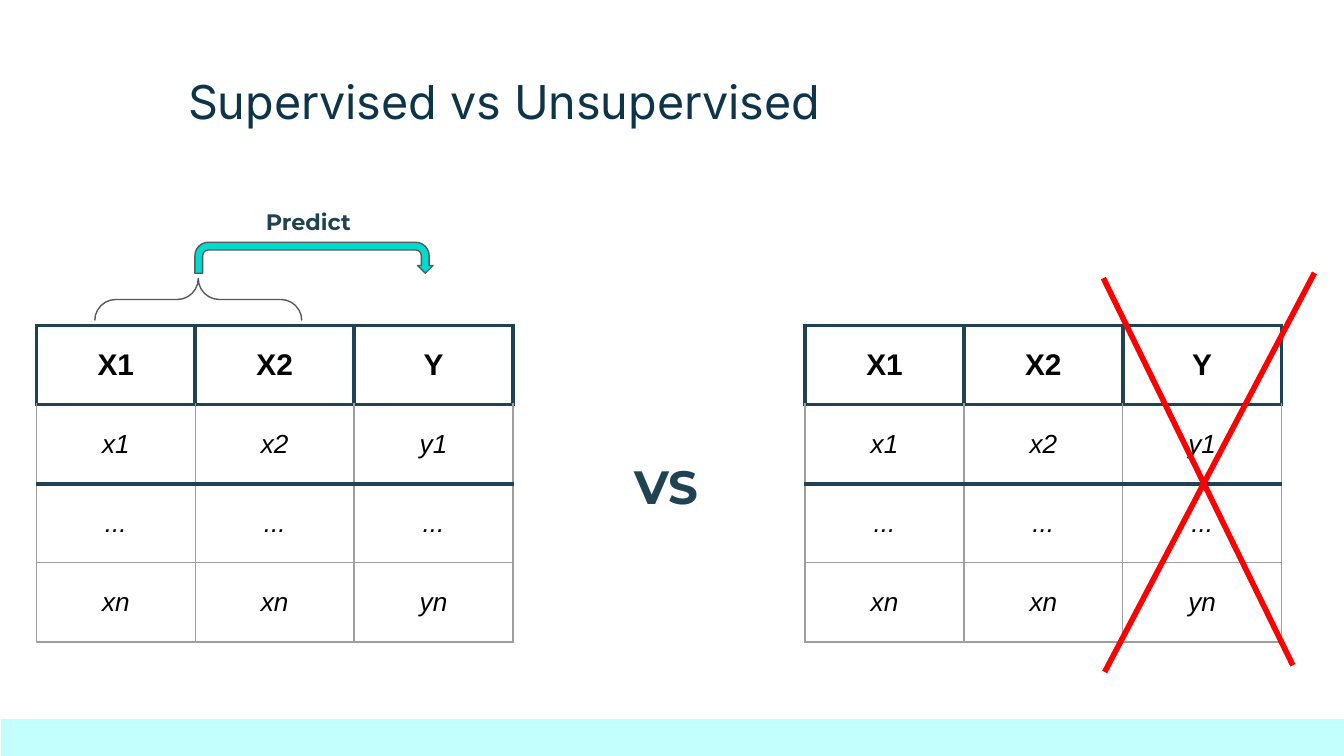
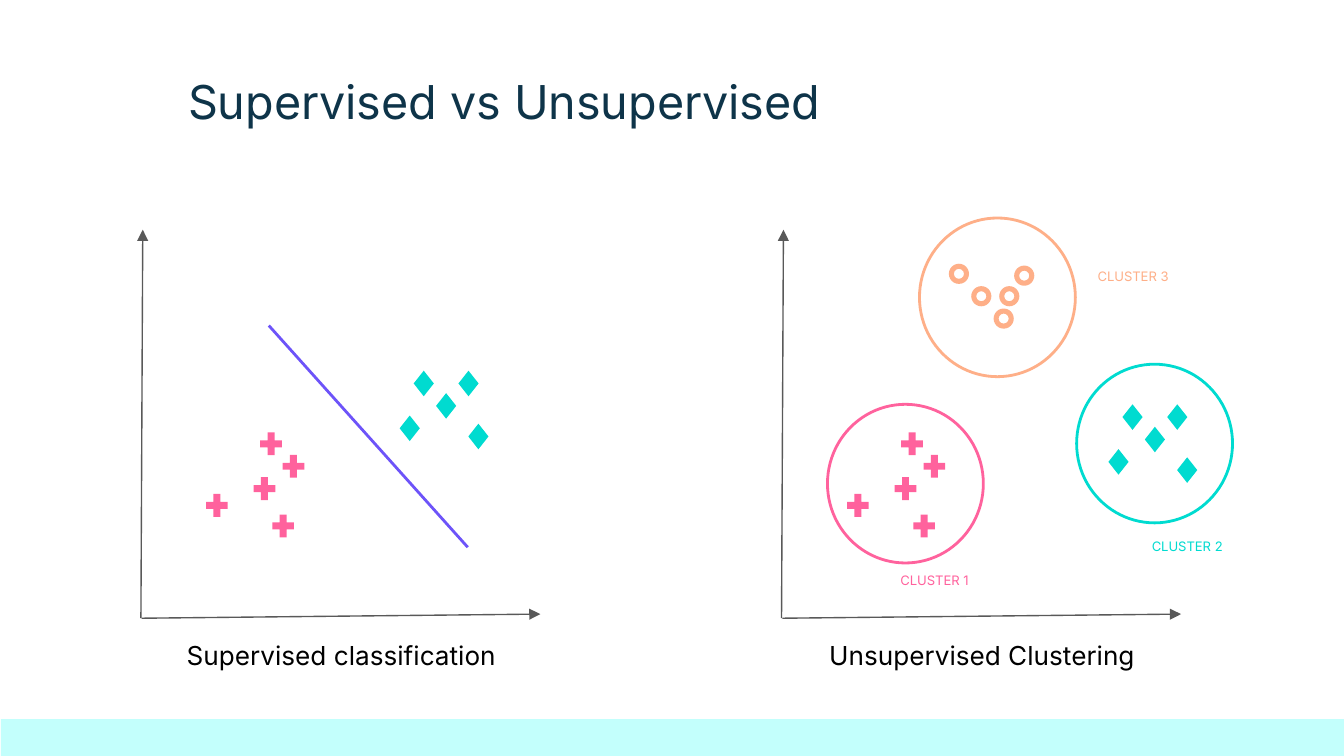
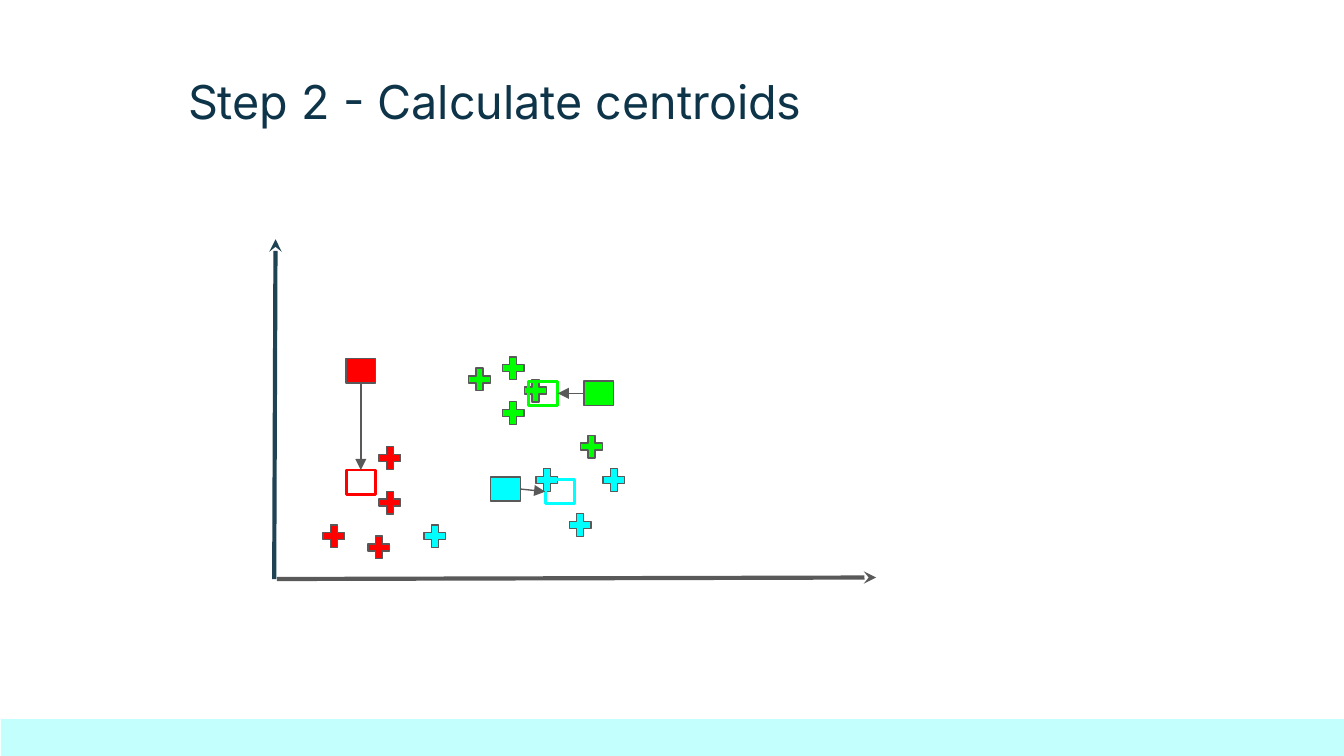
from dataclasses import dataclass

from lxml import etree
from pptx import Presentation
from pptx.dml.color import RGBColor
from pptx.enum.shapes import MSO_CONNECTOR, MSO_SHAPE
from pptx.enum.text import MSO_ANCHOR, MSO_AUTO_SIZE, PP_ALIGN
from pptx.oxml.ns import qn
from pptx.util import Pt

STRAIGHT = MSO_CONNECTOR.STRAIGHT
RECTANGLE = MSO_SHAPE.RECTANGLE
PLUS = MSO_SHAPE.MATH_PLUS
DIAMOND = MSO_SHAPE.DIAMOND
DONUT = MSO_SHAPE.DONUT
OVAL = MSO_SHAPE.OVAL
LEFT, CENTER = PP_ALIGN.LEFT, PP_ALIGN.CENTER
TOP, MIDDLE, BOTTOM = MSO_ANCHOR.TOP, MSO_ANCHOR.MIDDLE, MSO_ANCHOR.BOTTOM
SIDE_TOP, SIDE_LEFT, SIDE_BOTTOM, SIDE_RIGHT = range(4)
TITLE_ONLY = 5


@dataclass(frozen=True)
class Theme:
    title: RGBColor = RGBColor.from_string("0E3449")
    navy: RGBColor = RGBColor.from_string("1F4352")
    band: RGBColor = RGBColor.from_string("C3FFFC")
    teal: RGBColor = RGBColor.from_string("00DBD0")
    pink: RGBColor = RGBColor.from_string("FF629D")
    peach: RGBColor = RGBColor.from_string("FEAF88")
    violet: RGBColor = RGBColor.from_string("6D53F9")
    gray: RGBColor = RGBColor.from_string("595959")
    grid: RGBColor = RGBColor.from_string("9E9E9E")
    black: RGBColor = RGBColor.from_string("000000")
    red: RGBColor = RGBColor.from_string("FF0000")
    green: RGBColor = RGBColor.from_string("00FF00")
    cyan: RGBColor = RGBColor.from_string("00FFFF")
    text_font: str = "Inter"
    accent_font: str = "Montserrat"
    table_font: str = "Arial"
    title_size: float = 25
    header_size: float = 16
    body_size: float = 14
    note_size: float = 12
    label_size: float = 7
    inset: float = 7.2
    thin: float = 0.75
    medium: float = 1.5
    thick: float = 2.25
    cross: float = 3


THEME = Theme()

PLUS_SIZE = (15.8, 16.6)
DIAMOND_SIZE = (10.8, 13.7)
DONUT_SIZE = (10.8, 10.8)
CENTROID_SIZE = (15.8, 13)
CLUSTER_SIZE = (83.5, 85)

# Steps from the first marker of each group
PLUS_STEPS = [(0, 0), (12, 12), (-3.5, 24), (-29, 33), (6.5, 44)]
DIAMOND_STEPS = [(0, 0), (12, 12), (24, 0), (-7.5, 24), (29.3, 28.4)]
DONUT_STEPS = [(0, 0), (12, 12), (24, 24), (35, 1), (27, 12)]

TABLE_ROWS = [("X1", "X2", "Y"), ("x1", "x2", "y1"),
              ("...", "...", "..."), ("xn", "xn", "yn")]
CELL_WIDTH, CELL_HEIGHT = 85.1, 42.4


def points(values):
    return [Pt(value) for value in values]


def format_paragraph(paragraph, size, color, font, bold=False, italic=False,
                     align=LEFT):
    paragraph.alignment = align
    paragraph.font.name = font
    paragraph.font.size = Pt(size)
    paragraph.font.color.rgb = color
    paragraph.font.bold = bold
    paragraph.font.italic = italic


def set_insets(target):
    target.margin_left = target.margin_right = Pt(THEME.inset)
    target.margin_top = target.margin_bottom = Pt(THEME.inset)


def fill_text(shape, text, size, color, font=THEME.text_font, bold=False,
              align=CENTER, anchor=MIDDLE, wrap=True):
    frame = shape.text_frame
    frame.text = text
    frame.word_wrap = wrap
    frame.auto_size = MSO_AUTO_SIZE.NONE
    frame.vertical_anchor = anchor
    set_insets(frame)
    format_paragraph(frame.paragraphs[0], size, color, font, bold, align=align)


def add_text(slide, box, text, size, color, **options):
    fill_text(slide.shapes.add_textbox(*points(box)), text, size, color, **options)


def draw_shape(slide, kind, box, fill=None, line=None, width=THEME.thin):
    shape = slide.shapes.add_shape(kind, *points(box))
    shape.shadow.inherit = False
    if fill is None:
        shape.fill.background()
    else:
        shape.fill.solid()
        shape.fill.fore_color.rgb = fill
    if line is None:
        shape.line.fill.background()
    else:
        shape.line.color.rgb = line
        shape.line.width = Pt(width)
    return shape


def draw_line(slide, start, end, color, width=THEME.thin, arrow=None):
    connector = slide.shapes.add_connector(STRAIGHT, *points(start + end))
    connector.line.color.rgb = color
    connector.line.width = Pt(width)
    properties = connector.element.spPr
    if arrow:
        etree.SubElement(properties.find(qn("a:ln")), qn("a:tailEnd"), type=arrow)
    etree.SubElement(properties, qn("a:effectLst"))
    return connector


def join(slide, first, first_side, second, second_side):
    arrow = draw_line(slide, (0, 0), (0, 0), THEME.gray, arrow="triangle")
    arrow.begin_connect(first, first_side)
    arrow.end_connect(second, second_side)


def draw_markers(slide, kind, size, origin, steps, fill, line=None):
    for across, down in steps:
        position = (origin[0] + across, origin[1] + down)
        draw_shape(slide, kind, position + size, fill, line)


def add_titled_slide(presentation, title):
    slide = presentation.slides.add_slide(presentation.slide_layouts[TITLE_ONLY])
    shape = slide.shapes.title
    shape.left, shape.top, shape.width, shape.height = points((93.6, 31.9, 418.3, 41.8))
    fill_text(shape, title, THEME.title_size, THEME.title, align=LEFT, anchor=TOP)
    draw_shape(slide, RECTANGLE, (0.5, 385.2, 719.5, 19.8), THEME.band)
    return slide


def set_cell_borders(cell, **borders):
    """Set the borders, each a (colour, width), in the order L, R, T, B."""
    properties = cell._tc.get_or_add_tcPr()
    for side, (color, width) in borders.items():
        line = etree.SubElement(properties, qn(f"a:ln{side}"), w=str(Pt(width)))
        fill = etree.SubElement(line, qn("a:solidFill"))
        etree.SubElement(fill, qn("a:srgbClr"), val=str(color))


def add_variable_table(slide, left, top):
    row_count, column_count = len(TABLE_ROWS), len(TABLE_ROWS[0])
    table = slide.shapes.add_table(
        row_count, column_count, Pt(left), Pt(top),
        Pt(column_count * CELL_WIDTH), Pt(row_count * CELL_HEIGHT)).table
    table.first_row = table.horz_banding = False
    for column in table.columns:
        column.width = Pt(CELL_WIDTH)
    strong, light = (THEME.navy, THEME.thick), (THEME.grid, THEME.thin)
    for row, values in enumerate(TABLE_ROWS):
        table.rows[row].height = Pt(CELL_HEIGHT)
        header = row == 0
        side = strong if header else light
        for column, value in enumerate(values):
            cell = table.cell(row, column)
            cell.text = value
            cell.vertical_anchor = MIDDLE
            set_insets(cell)
            set_cell_borders(cell, L=side, R=side,
                             T=strong if row <= 2 else light,
                             B=strong if row <= 1 else light)
            cell.fill.background()
            format_paragraph(cell.text_frame.paragraphs[0],
                             THEME.header_size if header else THEME.body_size,
                             THEME.black, THEME.table_font,
                             bold=header, italic=not header, align=CENTER)


def build_tables_slide(presentation):
    slide = add_titled_slide(presentation, "Supervised vs Unsupervised")
    accent = dict(font=THEME.accent_font, bold=True, align=LEFT, anchor=TOP)
    add_variable_table(slide, 19.5, 174.4)
    brace = draw_shape(slide, MSO_SHAPE.RIGHT_BRACE, (95, 105, 22.5, 110.9),
                       line=THEME.gray)
    brace.rotation = 270
    brace.adjustments[0] = 0.5
    arrow = draw_shape(slide, MSO_SHAPE.U_TURN_ARROW, (104.4, 129.8, 127.6, 16.6),
                       THEME.teal, THEME.gray)
    arrow.adjustments[4] = 1
    add_text(slide, (135.3, 104.4, 66.2, 22.3), "Predict",
             THEME.note_size, THEME.navy, **accent)
    add_variable_table(slide, 431.3, 174.4)
    add_text(slide, (332.6, 238.3, 55.4, 41.8), "VS",
             THEME.title_size, THEME.navy, **accent)
    draw_line(slide, (591.1, 149), (692.6, 356.4), THEME.red, THEME.cross)
    draw_line(slide, (704.2, 146.2), (591.8, 360), THEME.red, THEME.cross)


def draw_labelled_plot(slide, left, caption, plus_origin, diamond_origin):
    draw_line(slide, (left, 331.2), (left + 1, 123.1), THEME.gray, arrow="triangle")
    draw_line(slide, (left + 0.4, 331.2), (left + 214, 329), THEME.gray,
              arrow="triangle")
    draw_markers(slide, PLUS, PLUS_SIZE, plus_origin, PLUS_STEPS, THEME.pink)
    draw_markers(slide, DIAMOND, DIAMOND_SIZE, diamond_origin, DIAMOND_STEPS,
                 THEME.teal)
    add_text(slide, (left + 5.2, 342.7, 204.5, 23.8), caption,
             THEME.body_size, THEME.black, anchor=BOTTOM)


def build_clusters_slide(presentation):
    slide = add_titled_slide(presentation, "Supervised vs Unsupervised")
    draw_labelled_plot(slide, 75.5, "Supervised classification",
                       (137.3, 229.5), (221.6, 198.6))
    draw_line(slide, (144, 174.4), (250.6, 293.2), THEME.violet, THEME.medium)
    draw_labelled_plot(slide, 418.7, "Unsupervised Clustering",
                       (480.7, 229.5), (601.3, 216.6))
    draw_markers(slide, DONUT, DONUT_SIZE, (508.3, 141.3), DONUT_STEPS, THEME.peach)
    clusters = [
        ("CLUSTER 1", THEME.pink, (443.3, 216.6), (473.6, 305.4)),
        ("CLUSTER 2", THEME.teal, (576.8, 195.1), (609, 287.3)),
        ("CLUSTER 3", THEME.peach, (492.6, 116.8), (580, 142.6)),
    ]
    for name, color, position, label_position in clusters:
        draw_shape(slide, OVAL, position + CLUSTER_SIZE, line=color,
                   width=THEME.medium)
        add_text(slide, label_position + (54, 10.8), name, THEME.label_size, color,
                 wrap=False)


def build_centroids_slide(presentation):
    slide = add_titled_slide(presentation, "Step 2 - Calculate centroids")
    draw_line(slide, (146.9, 310.2), (147.6, 128.2), THEME.navy, THEME.thick, "stealth")
    draw_line(slide, (148.3, 310.2), (469.4, 309.4), THEME.gray, THEME.thick, "stealth")
    # Colour, members, old centroid, new centroid, sides joined by the arrow
    groups = [
        (THEME.red, [(171, 279), (195, 285), (201, 261), (201, 237)],
         (185.4, 192.2), (185.4, 251.8), SIDE_BOTTOM, SIDE_TOP),
        (THEME.cyan, [(225, 279), (321, 249), (303, 273), (285, 249)],
         (262.9, 255.5), (292.1, 256.9), SIDE_RIGHT, SIDE_LEFT),
        (THEME.green, [(309, 231), (249, 195), (267, 213), (267, 189), (279, 201)],
         (312.9, 204.2), (283, 204.2), SIDE_LEFT, SIDE_RIGHT),
    ]
    for color, members, old, new, old_side, new_side in groups:
        draw_markers(slide, PLUS, PLUS_SIZE, (0, 0), members, color, THEME.gray)
        old_centroid = draw_shape(slide, RECTANGLE, old + CENTROID_SIZE,
                                  color, THEME.gray)
        new_centroid = draw_shape(slide, RECTANGLE, new + CENTROID_SIZE,
                                  line=color, width=THEME.medium)
        join(slide, old_centroid, old_side, new_centroid, new_side)


def main():
    presentation = Presentation()
    presentation.slide_width, presentation.slide_height = Pt(720), Pt(405)
    build_tables_slide(presentation)
    build_clusters_slide(presentation)
    build_centroids_slide(presentation)
    presentation.save("out.pptx")


if __name__ == "__main__":
    main()
